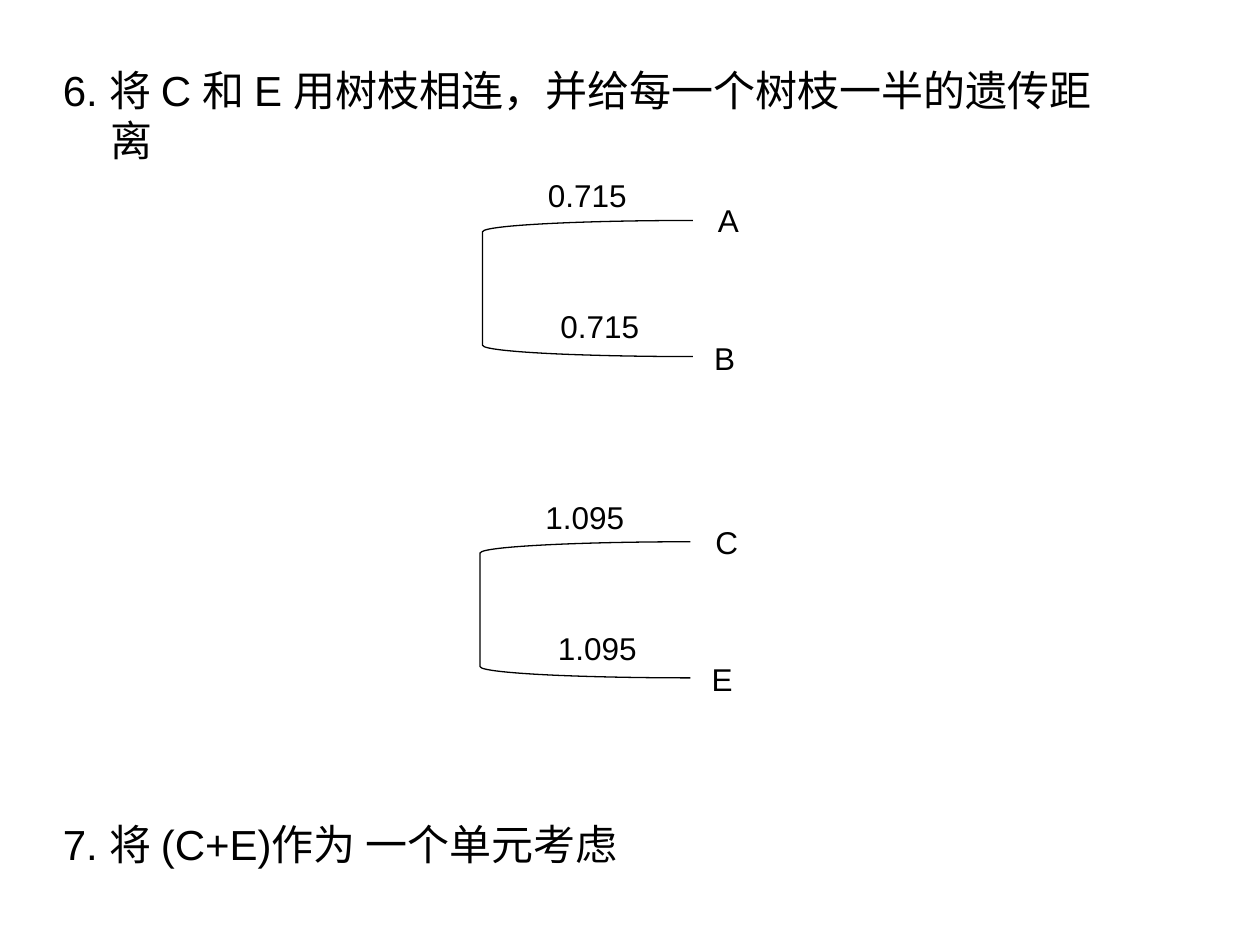
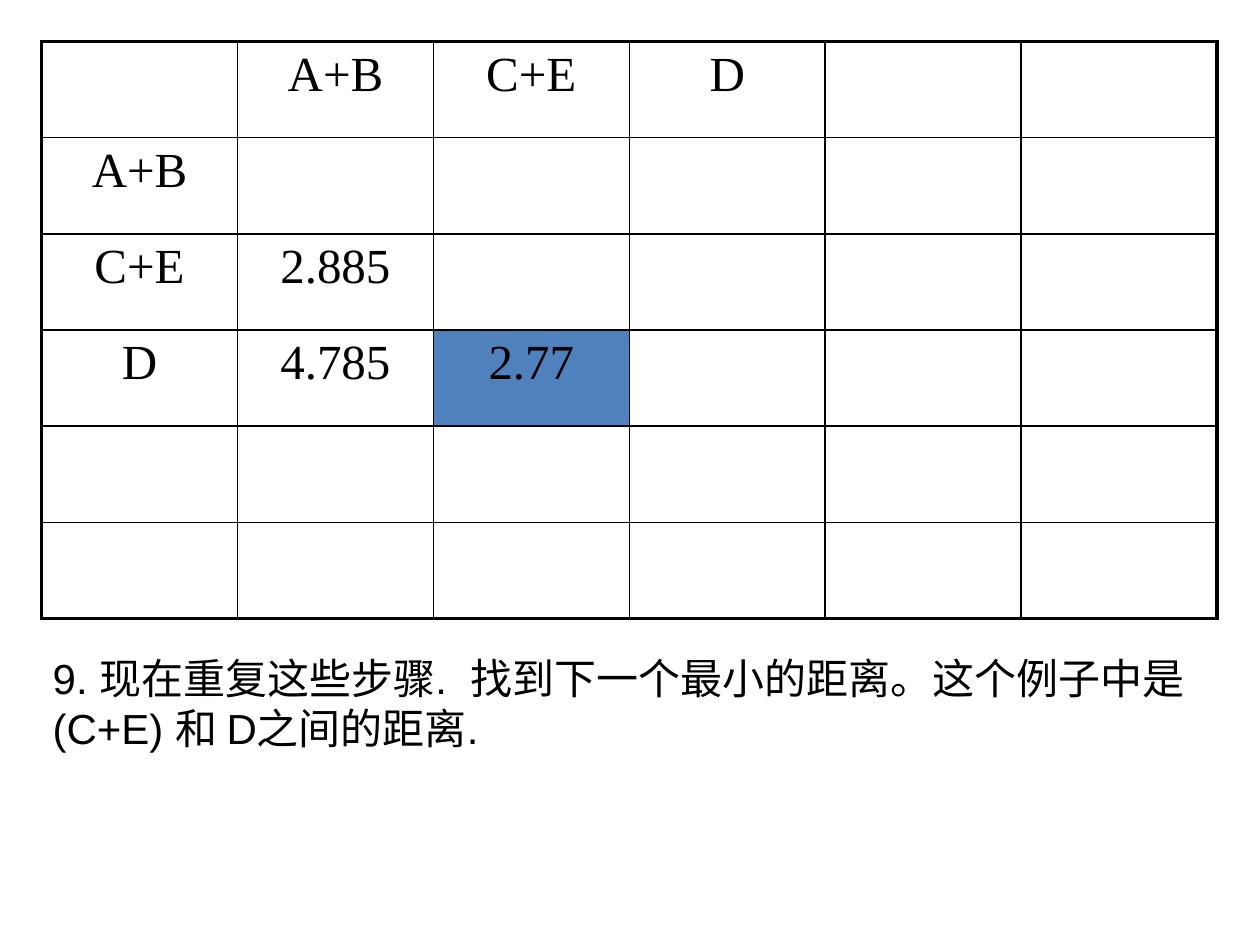
from lxml import etree
from pptx import Presentation
from pptx.dml.color import RGBColor
from pptx.enum.shapes import MSO_SHAPE
from pptx.enum.text import PP_ALIGN
from pptx.oxml.ns import qn
from pptx.util import Inches, Pt

BRACKET = MSO_SHAPE.LEFT_BRACKET
CENTER = PP_ALIGN.CENTER
COLORS = {"ink": "000000", "highlight": "4F81BD"}
BODY_FONT = "Arial"
TABLE_FONT = "Times New Roman"
BLANK_LAYOUT = 6
GRID_SIZE = 6
THIN, THICK = 1, 2.25

DISTANCES = [
    ["", "A+B", "C+E", "D"],
    ["A+B"],
    ["C+E", "2.885"],
    ["D", "4.785", "2.77"],
]
SMALLEST = (3, 2)


def color(name):
    """Return a named colour of the deck."""
    return RGBColor.from_string(COLORS[name])


def style_text(para, font_name, size):
    """Set the font of a paragraph."""
    para.font.name = font_name
    para.font.size = Pt(size)
    para.font.color.rgb = color("ink")


def add_text(page, text, left, top, width, height, size, wrap=True):
    """Add a text box with one paragraph and return the paragraph."""
    box = page.shapes.add_textbox(
        Inches(left), Inches(top), Inches(width), Inches(height))
    box.text_frame.word_wrap = wrap
    para = box.text_frame.paragraphs[0]
    para.text = text
    style_text(para, BODY_FONT, size)
    return para


def add_step(page, text, left, top, width, height, hanging=0):
    """Add a numbered step, with a hanging indent if one is given."""
    para = add_text(page, text, left, top, width, height, 24)
    if hanging:
        properties = para._p.get_or_add_pPr()
        properties.set("marL", str(Inches(hanging)))
        properties.set("indent", str(-Inches(hanging)))


def add_branch_pair(page, left, top, taxa, distance):
    """Join two taxa with a bracket and label both branches."""
    bracket = page.shapes.add_shape(
        BRACKET, Inches(left), Inches(top), Inches(1.67), Inches(1.08))
    bracket.adjustments[0] = 0.083
    bracket.shadow.inherit = False
    bracket.fill.background()
    bracket.line.color.rgb = color("ink")
    bracket.line.width = Pt(0.75)
    labels = [
        (taxa[0], 1.77, -0.2, 0.37),
        (taxa[1], 1.74, 0.89, 0.37),
        (distance, 0.42, -0.4, 0.83),
        (distance, 0.52, 0.64, 0.83),
    ]
    for text, across, down, width in labels:
        add_text(page, text, left + across, top + down, width, 0.4, 18, wrap=False)


def set_borders(cell, row, column):
    """Draw thin inner borders and thick outer borders on a cell."""
    last = GRID_SIZE - 1
    outer_sides = {"a:lnL": column == 0, "a:lnR": column == last,
                   "a:lnT": row == 0, "a:lnB": row == last}
    properties = cell._tc.get_or_add_tcPr()
    for position, (tag, outer) in enumerate(outer_sides.items()):
        width = Pt(THICK if outer else THIN)
        line = etree.Element(qn(tag), w=str(width))
        fill = etree.SubElement(line, qn("a:solidFill"))
        etree.SubElement(fill, qn("a:srgbClr"), val=COLORS["ink"])
        properties.insert(position, line)


def add_distance_table(page):
    """Add the distance matrix with its smallest value highlighted."""
    table = page.shapes.add_table(
        GRID_SIZE, GRID_SIZE, Inches(0.33), Inches(0.33),
        Inches(9.33), Inches(4.58)).table
    table.first_row = False
    table.horz_banding = False
    for row in range(GRID_SIZE):
        for column in range(GRID_SIZE):
            cell = table.cell(row, column)
            if (row, column) == SMALLEST:
                cell.fill.solid()
                cell.fill.fore_color.rgb = color("highlight")
            else:
                cell.fill.background()
            set_borders(cell, row, column)
    for row, values in enumerate(DISTANCES):
        for column, value in enumerate(values):
            if value:
                para = table.cell(row, column).text_frame.paragraphs[0]
                para.text = value
                para.alignment = CENTER
                style_text(para, TABLE_FONT, 28)


def add_tree_page(deck):
    """Add the page that joins C and E."""
    page = deck.slides.add_slide(deck.slide_layouts[BLANK_LAYOUT])
    add_step(page, "6. 将 C 和 E 用树枝相连，并给每一个树枝一半的遗传距离",
             0.4, 0.46, 8.6, 0.9, hanging=0.38)
    add_branch_pair(page, 3.83, 1.75, "AB", "0.715")
    add_branch_pair(page, 3.81, 4.3, "CE", "1.095")
    add_step(page, "7. 将 (C+E)作为 一个单元考虑", 0.4, 6.45, 8.6, 0.5, hanging=0.38)


def add_matrix_page(deck):
    """Add the page with the reduced distance matrix."""
    page = deck.slides.add_slide(deck.slide_layouts[BLANK_LAYOUT])
    add_distance_table(page)
    add_step(page, "9. 现在重复这些步骤.  找到下一个最小的距离。这个例子中是(C+E) 和 D之间的距离.",
             0.32, 5.13, 9.33, 0.9)


def main():
    """Build and save the deck."""
    deck = Presentation()
    deck.slide_width = Inches(10)
    deck.slide_height = Inches(7.5)
    add_tree_page(deck)
    add_matrix_page(deck)
    deck.save("out.pptx")


if __name__ == "__main__":
    main()
